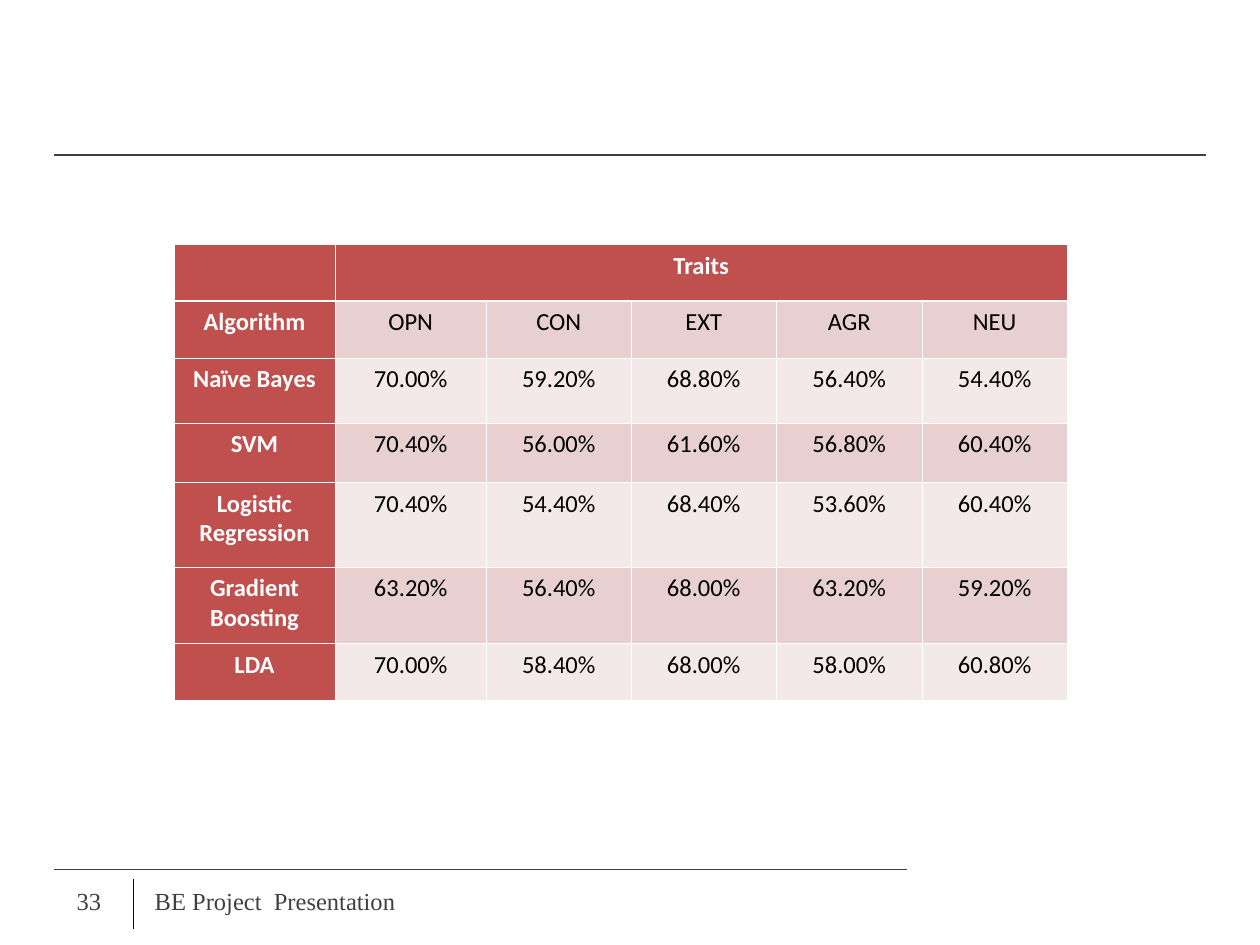
from lxml.etree import SubElement
from pptx import Presentation
from pptx.dml.color import RGBColor
from pptx.enum.shapes import MSO_CONNECTOR
from pptx.enum.text import MSO_ANCHOR, PP_ALIGN
from pptx.oxml.ns import qn
from pptx.util import Inches, Pt

COLORS = {
    "header": "C0504D",
    "dark_band": "E8D0D0",
    "light_band": "F4E9E9",
    "white": "FFFFFF",
    "black": "000000",
    "gray": "404040",
    "divider": "0D0D0D",
}
COLUMNS = [1.28, 1.2, 1.15, 1.15, 1.16, 1.15]
ROWS = [0.45, 0.45, 0.52, 0.47, 0.67, 0.61, 0.45]
RESULTS = [
    ["", "Traits", "", "", "", ""],
    ["Algorithm", "OPN", "CON", "EXT", "AGR", "NEU"],
    ["Naïve Bayes", "70.00%", "59.20%", "68.80%", "56.40%", "54.40%"],
    ["SVM", "70.40%", "56.00%", "61.60%", "56.80%", "60.40%"],
    ["Logistic Regression", "70.40%", "54.40%", "68.40%", "53.60%", "60.40%"],
    ["Gradient Boosting", "63.20%", "56.40%", "68.00%", "63.20%", "59.20%"],
    ["LDA", "70.00%", "58.40%", "68.00%", "58.00%", "60.80%"],
]


def style_text(paragraph, font_name, color, bold=False):
    for span in paragraph.runs:
        span.font.name = font_name
        span.font.size = Pt(14)
        span.font.bold = bold
        span.font.color.rgb = RGBColor.from_string(COLORS[color])


def add_border(cell, side, width):
    border = SubElement(cell._tc.get_or_add_tcPr(), qn(f"a:ln{side}"), w=str(Pt(width)))
    fill = SubElement(border, qn("a:solidFill"))
    SubElement(fill, qn("a:srgbClr"), val=COLORS["white"])


deck = Presentation()
deck.slide_width, deck.slide_height = Inches(10), Inches(7.5)
page = deck.slides.add_slide(deck.slide_layouts[6])

for left, top, right, bottom, color in [
    (0.43, 1.23, 9.57, 1.23, "gray"),
    (0.43, 6.9, 7.2, 6.9, "gray"),
    (1.06, 6.98, 1.06, 7.37, "divider"),
]:
    rule = page.shapes.add_connector(
        MSO_CONNECTOR.STRAIGHT, Inches(left), Inches(top), Inches(right), Inches(bottom)
    )
    rule.line.width = Pt(0.75)
    rule.line.color.rgb = RGBColor.from_string(COLORS[color])
    SubElement(rule._element.spPr, qn("a:effectLst"))

table = page.shapes.add_table(
    len(ROWS), len(COLUMNS), Inches(1.38), Inches(1.94),
    Inches(sum(COLUMNS)), Inches(sum(ROWS)),
).table
for column, width in zip(table.columns, COLUMNS):
    column.width = Inches(width)
for row, height in zip(table.rows, ROWS):
    row.height = Inches(height)
table.cell(0, 1).merge(table.cell(0, 5))

for row_index, values in enumerate(RESULTS):
    for column_index, value in enumerate(values):
        cell = table.cell(row_index, column_index)
        is_header = row_index == 0 or column_index == 0
        band = "dark_band" if row_index % 2 else "light_band"
        cell.margin_left = cell.margin_right = Inches(0.08)
        cell.margin_top = cell.margin_bottom = Inches(0.05)
        for side in "LRTB":
            under_header = (row_index, side) in [(0, "B"), (1, "T")]
            add_border(cell, side, 1.47 if under_header else 0.45)
        cell.fill.solid()
        cell.fill.fore_color.rgb = RGBColor.from_string(COLORS["header" if is_header else band])
        if value:
            cell.text_frame.text = value
            paragraph = cell.text_frame.paragraphs[0]
            paragraph.alignment = PP_ALIGN.CENTER
            style_text(paragraph, "Calibri", "white" if is_header else "black", is_header)

for left, width, text in [(1.13, 3.17, "BE Project  Presentation"), (0.51, 0.52, "33")]:
    box = page.shapes.add_textbox(Inches(left), Inches(6.95), Inches(width), Inches(0.4))
    box.text_frame.word_wrap = True
    box.text_frame.vertical_anchor = MSO_ANCHOR.MIDDLE
    box.text_frame.text = text
    style_text(box.text_frame.paragraphs[0], "Times New Roman", "gray")

deck.save("out.pptx")
